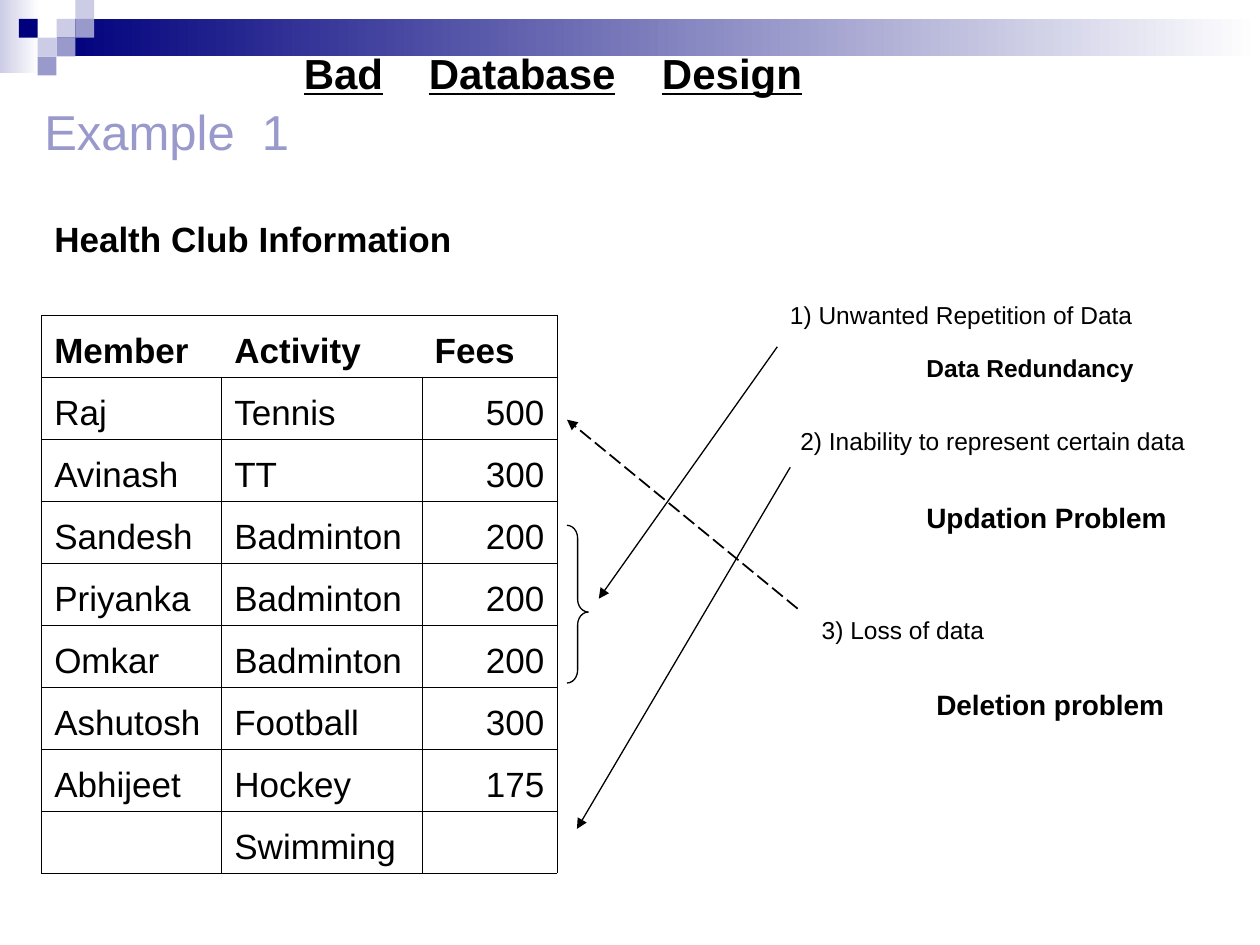
from lxml.etree import SubElement
from pptx import Presentation
from pptx.dml.color import RGBColor
from pptx.enum.dml import MSO_LINE
from pptx.enum.shapes import MSO_CONNECTOR, MSO_SHAPE
from pptx.enum.text import MSO_ANCHOR, PP_ALIGN
from pptx.oxml.ns import qn
from pptx.util import Cm, Pt

COLORS = {"black": "000000", "white": "FFFFFF", "navy": "00007D",
          "lavender": "9999CC", "pale": "CCCCE6"}
FONT = "Arial"
NO_STYLE = "{2D5ABB26-0587-4C30-8999-92F81FD0307C}"

TITLE = "Example  1"
FADES = [((0, 0, 0.79, 1.47), "pale"), ((1.14, 0.38, 24.26, 0.76), "navy")]
SQUARE = 0.38
SQUARES = [(3, 1, "pale"), (4, 0, "pale"), (4, 1, "lavender"), (2, 2, "pale"),
           (1, 1, "navy"), (3, 2, "lavender"), (2, 3, "lavender")]

LABELS = [
    ("Bad\tDatabase\tDesign", (5.87, 0.84, 12.34, 1.27),
     {"size": 24, "bold": True, "underline": True, "tabs": (2.52, 7.22)}),
    ("Health Club Information", (0.84, 4.27, 11.86, 1.1), {"size": 20, "bold": True}),
    ("1) Unwanted Repetition of Data", (15.67, 5.92, 8.46, 0.85), {"size": 14}),
    ("2) Inability to represent certain data", (15.88, 8.46, 9.1, 0.85), {"size": 14}),
    ("3) Loss of data", (16.31, 12.27, 5.72, 0.85), {"size": 14}),
    ("Data Redundancy", (18.42, 6.99, 6.15, 0.85), {"size": 14, "bold": True}),
    ("Updation Problem", (18.42, 9.96, 5.92, 0.94), {"size": 16, "bold": True}),
    ("Deletion problem", (18.62, 13.72, 5.51, 0.94), {"size": 16, "bold": True}),
]

MEMBERS = [
    ("Member", "Activity", "Fees"),
    ("Raj", "Tennis", "500"),
    ("Avinash", "TT", "300"),
    ("Sandesh", "Badminton", "200"),
    ("Priyanka", "Badminton", "200"),
    ("Omkar", "Badminton", "200"),
    ("Ashutosh", "Football", "300"),
    ("Abhijeet", "Hockey", "175"),
    ("", "Swimming", ""),
]
MEMBERS_AT = (0.84, 6.35)
COLUMN_WIDTHS = (3.63, 4.04, 2.72)
ROW_HEIGHT = 1.25

ARROWS = [((15.67, 6.99), (12.07, 12.07), 0.75, None),
          ((15.93, 9.42), (11.63, 16.71), 0.75, None),
          ((16.08, 12.27), (11.43, 8.46), 1, MSO_LINE.LONG_DASH)]
BRACE = (11.43, 10.59, 0.43, 3.18)


def color(name):
    return RGBColor.from_string(COLORS[name])


def lengths(values):
    return [Cm(value) for value in values]


def set_font(font, size, name="black", bold=False, underline=False):
    font.name, font.size = FONT, Pt(size)
    font.bold, font.underline = bold, underline
    font.color.rgb = color(name)


def add_rectangle(slide, box):
    shape = slide.shapes.add_shape(MSO_SHAPE.RECTANGLE, *lengths(box))
    shape.shadow.inherit = False
    shape.line.fill.background()
    return shape


def add_decoration(slide):
    for box, start in FADES:
        fill = add_rectangle(slide, box).fill
        fill.gradient()
        fill.gradient_angle = 0
        for stop, name in zip(fill.gradient_stops, (start, "white")):
            stop.color.rgb = color(name)
    for column, row, name in SQUARES:
        box = (column * SQUARE, row * SQUARE, SQUARE, SQUARE)
        fill = add_rectangle(slide, box).fill
        fill.solid()
        fill.fore_color.rgb = color(name)


def add_plain_table(slide, rows, columns, box):
    frame = slide.shapes.add_table(rows, columns, *lengths(box))
    table = frame.table
    table.first_row = table.horz_banding = False
    frame.element.find(".//" + qn("a:tableStyleId")).text = NO_STYLE
    return table


def fill_cell(cell, text, size, bold=False, underline=False, tabs=(), align=PP_ALIGN.LEFT):
    cell.fill.background()
    cell.vertical_anchor = MSO_ANCHOR.BOTTOM
    cell.text = text
    paragraph = cell.text_frame.paragraphs[0]
    paragraph.alignment = align
    if tabs:
        tab_list = SubElement(paragraph._p.get_or_add_pPr(), qn("a:tabLst"))
        for position in tabs:
            SubElement(tab_list, qn("a:tab"), pos=str(Cm(position)), algn="l")
    set_font(paragraph.font, size, bold=bold, underline=underline)


def add_borders(cell, sides):
    properties = cell._tc.get_or_add_tcPr()
    for side in sides:
        line = SubElement(properties, qn(f"a:ln{side}"), w=str(Pt(0.45)))
        fill = SubElement(line, qn("a:solidFill"))
        SubElement(fill, qn("a:srgbClr"), val=COLORS["black"])


def add_members(slide):
    last = len(COLUMN_WIDTHS) - 1
    box = (*MEMBERS_AT, sum(COLUMN_WIDTHS), ROW_HEIGHT * len(MEMBERS))
    table = add_plain_table(slide, len(MEMBERS), len(COLUMN_WIDTHS), box)
    for column, width in zip(table.columns, COLUMN_WIDTHS):
        column.width = Cm(width)
    for r, values in enumerate(MEMBERS):
        table.rows[r].height = Cm(ROW_HEIGHT)
        for c, value in enumerate(values):
            cell = table.cell(r, c)
            left = "L" if r or c == 0 else ""
            right = "R" if r or c == last else ""
            add_borders(cell, left + right + "TB")
            align = PP_ALIGN.RIGHT if r and c == last else PP_ALIGN.LEFT
            fill_cell(cell, value, 20, bold=r == 0, align=align)


def add_arrow(slide, start, end, width, dash):
    arrow = slide.shapes.add_connector(MSO_CONNECTOR.STRAIGHT, *lengths(start + end))
    arrow.line.color.rgb = color("black")
    arrow.line.width = Pt(width)
    if dash:
        arrow.line.dash_style = dash
    SubElement(arrow.line._get_or_add_ln(), qn("a:tailEnd"), type="triangle")
    SubElement(arrow.element.spPr, qn("a:effectLst"))


def add_brace(slide):
    brace = slide.shapes.add_shape(MSO_SHAPE.RIGHT_BRACE, *lengths(BRACE))
    brace.shadow.inherit = False
    brace.fill.background()
    brace.line.color.rgb = color("black")
    brace.line.width = Pt(0.75)
    brace.adjustments[0], brace.adjustments[1] = 0.6, 0.55


def add_title(slide):
    title = slide.shapes.title
    title.left, title.top, title.width, title.height = lengths((0.64, 1.9, 22.86, 1.48))
    title.text_frame.text = TITLE
    title.text_frame.vertical_anchor = MSO_ANCHOR.MIDDLE
    paragraph = title.text_frame.paragraphs[0]
    paragraph.alignment = PP_ALIGN.LEFT
    set_font(paragraph.font, 28, "lavender")


def main():
    """Build the bad database design slide."""
    presentation = Presentation()
    presentation.slide_width, presentation.slide_height = Cm(25.4), Cm(19.05)
    slide = presentation.slides.add_slide(presentation.slide_layouts[5])
    add_title(slide)
    add_decoration(slide)
    for text, box, style in LABELS:
        fill_cell(add_plain_table(slide, 1, 1, box).cell(0, 0), text, **style)
    add_members(slide)
    for arrow in ARROWS:
        add_arrow(slide, *arrow)
    add_brace(slide)
    presentation.save("out.pptx")


if __name__ == "__main__":
    main()
